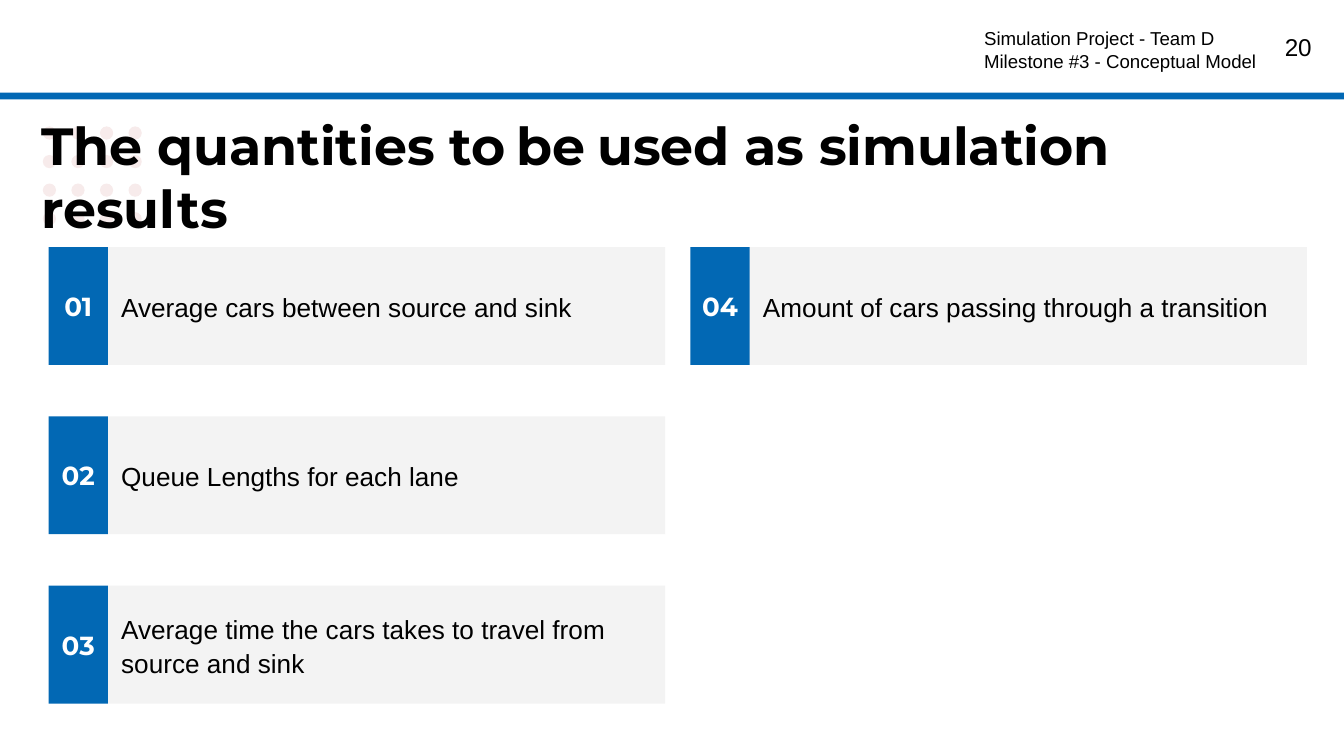
from pptx import Presentation
from pptx.dml.color import RGBColor
from pptx.enum.shapes import MSO_SHAPE
from pptx.enum.text import MSO_ANCHOR, PP_ALIGN
from pptx.util import Cm, Pt

BLUE = RGBColor(0x02, 0x68, 0xB4)
GREY = RGBColor(0xF3, 0xF3, 0xF3)
PINK = RGBColor(0xF7, 0xEB, 0xEB)
WHITE = RGBColor(0xFF, 0xFF, 0xFF)
BLACK = RGBColor(0x00, 0x00, 0x00)

WIDTH, HEIGHT = 25.4, 14.29
INSET = 0.25
ROWS = 3
QUANTITIES = [
    "Average cars between source and sink",
    "Queue Lengths for each lane",
    "Average time the cars takes to travel from source and sink",
    "Amount of cars passing through a transition",
]
# Each title run: text, size, font, bold
TITLE = [
    ("The quantities", 28, "Montserrat", True),
    (" ", 28, "Arial", False),
    ("to", 28, "Montserrat", True),
    (" ", 22, "Arial", False),
    ("be", 28, "Montserrat", True),
    (" ", 22, "Arial", False),
    ("used as simulation results", 28, "Montserrat", True),
]


def add_block(shapes, kind, left, top, width, height, color):
    """Add a flat filled shape without outline; lengths in cm."""
    block = shapes.add_shape(kind, Cm(left), Cm(top), Cm(width), Cm(height))
    block.shadow.inherit = False
    block.fill.solid()
    block.fill.fore_color.rgb = color
    block.line.fill.background()
    return block


def set_frame(frame, anchor=MSO_ANCHOR.TOP, side=INSET):
    """Set wrapping, anchor and insets of a text frame."""
    frame.word_wrap = True
    frame.vertical_anchor = anchor
    frame.margin_left = frame.margin_right = Cm(side)
    frame.margin_top = frame.margin_bottom = Cm(INSET)


def add_run(paragraph, text, size, font="Arial", bold=False, color=BLACK):
    """Append one formatted run to a paragraph."""
    run = paragraph.add_run()
    run.text = text
    run.font.size = Pt(size)
    run.font.name = font
    run.font.bold = bold
    run.font.color.rgb = color


def add_text(shapes, left, top, width, height, lines, align=PP_ALIGN.LEFT):
    """Add a text box whose lines are lists of run settings."""
    box = shapes.add_textbox(Cm(left), Cm(top), Cm(width), Cm(height))
    set_frame(box.text_frame)
    for index, runs in enumerate(lines):
        paragraph = (box.text_frame.add_paragraph() if index
                     else box.text_frame.paragraphs[0])
        paragraph.alignment = align
        for run in runs:
            add_run(paragraph, *run)


def add_dots(shapes, left, top, count=4, step=0.54, size=0.25):
    """Add the square grid of pale dots behind the title."""
    dots = shapes.add_group_shape().shapes
    for row in range(count):
        for column in range(count):
            add_block(dots, MSO_SHAPE.OVAL, left + column * step,
                      top + row * step, size, size, PINK)


def add_header(shapes, left, top, width, height):
    """Add the white header with its blue rule, project name and number."""
    rule = 0.13
    add_block(shapes, MSO_SHAPE.RECTANGLE, left, top, width, height - rule, WHITE)
    add_block(shapes, MSO_SHAPE.RECTANGLE, left, top + height - rule,
              width, rule, BLUE)
    right = left + width
    add_text(shapes, right - 1.88, top + 0.36, 1.52, 1.09,
             [[("20", 13)]], PP_ALIGN.RIGHT)
    add_text(shapes, right - 7.05, top + 0.26, 5.92, 1.42,
             [[("Simulation Project - Team D", 10)],
              [("Milestone #3 - Conceptual Model", 10)]])


def add_quantity(shapes, left, top, width, height, number, wording):
    """Add one quantity: a blue number badge and its grey panel."""
    badge_width = 1.12
    panel = add_block(shapes, MSO_SHAPE.RECTANGLE, left + badge_width, top,
                      width - badge_width, height, GREY)
    set_frame(panel.text_frame, MSO_ANCHOR.MIDDLE)
    paragraph = panel.text_frame.paragraphs[0]
    paragraph.alignment = PP_ALIGN.LEFT
    paragraph.line_spacing = 1.08
    paragraph.space_after = Pt(8)
    add_run(paragraph, wording, 14)

    badge = add_block(shapes, MSO_SHAPE.RECTANGLE, left, top,
                      badge_width, height, BLUE)
    set_frame(badge.text_frame, MSO_ANCHOR.MIDDLE, side=0)
    paragraph = badge.text_frame.paragraphs[0]
    paragraph.alignment = PP_ALIGN.CENTER
    add_run(paragraph, f"{number:02d}", 14, "Montserrat", True, WHITE)


def add_quantities(shapes, left, top, width, height):
    """Fill the box column by column with equally spaced quantities."""
    card_width, card_height = 11.65, 2.23
    column_step = width - card_width
    row_step = (height - card_height) / (ROWS - 1)
    for index, wording in enumerate(QUANTITIES):
        column, row = divmod(index, ROWS)
        add_quantity(shapes, left + column * column_step, top + row * row_step,
                     card_width, card_height, index + 1, wording)


def main():
    """Build and save the simulation results slide."""
    deck = Presentation()
    deck.slide_width, deck.slide_height = Cm(WIDTH), Cm(HEIGHT)
    shapes = deck.slides.add_slide(deck.slide_layouts[6]).shapes
    add_dots(shapes, 0.81, 2.39)
    add_header(shapes, 0, 0, WIDTH, 1.88)
    add_text(shapes, 0.53, 1.9, 24.33, 1.8, [TITLE])
    add_quantities(shapes, 0.92, 4.67, 23.78, 8.63)
    deck.save("out.pptx")


main()
